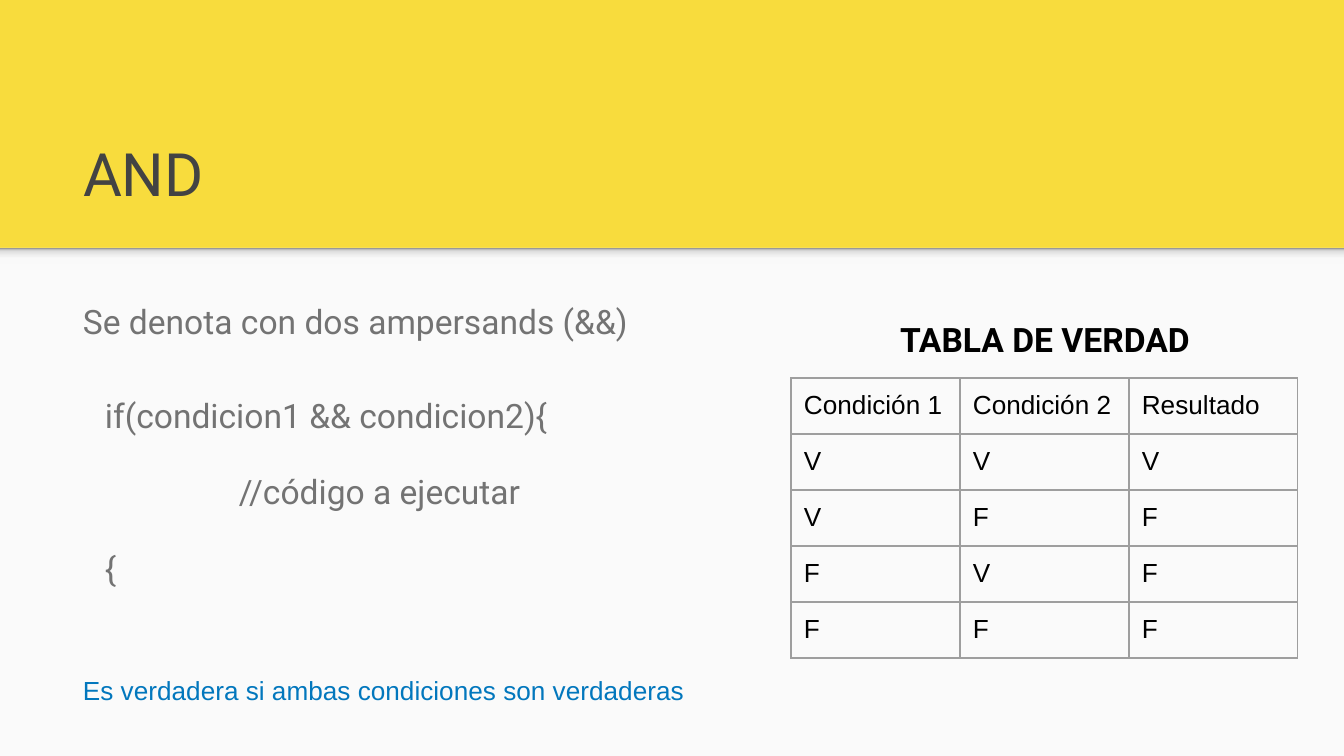
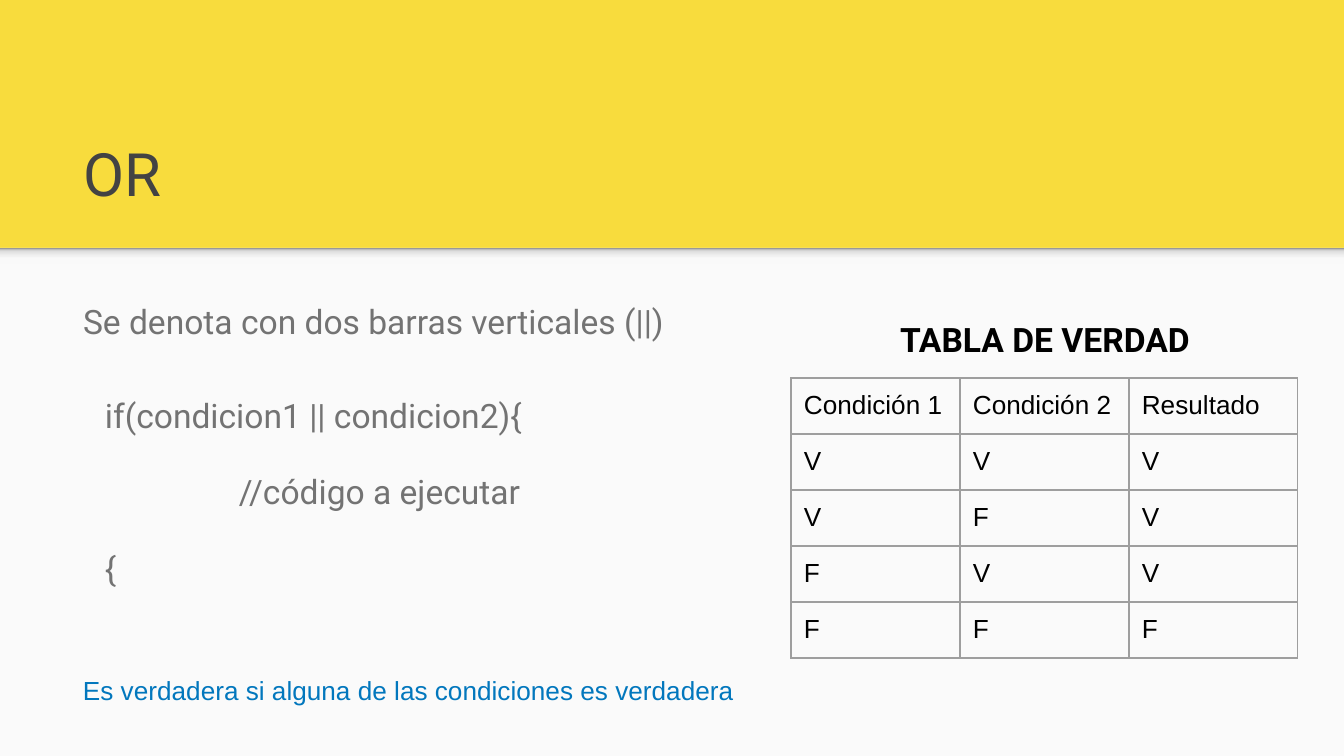
from lxml import etree
from pptx import Presentation
from pptx.dml.color import RGBColor
from pptx.enum.shapes import MSO_SHAPE
from pptx.enum.text import MSO_ANCHOR, MSO_AUTO_SIZE, PP_ALIGN
from pptx.oxml import parse_xml
from pptx.oxml.ns import qn
from pptx.util import Emu, Pt

RECT = MSO_SHAPE.RECTANGLE
TOP, MIDDLE, BOTTOM = MSO_ANCHOR.TOP, MSO_ANCHOR.MIDDLE, MSO_ANCHOR.BOTTOM
LEFT, CENTER = PP_ALIGN.LEFT, PP_ALIGN.CENTER
NO_FIT = MSO_AUTO_SIZE.NONE

EMU_PER_PX = 914400 / 134.4
WIDTH, HEIGHT = 1344, 756
BAND_BOTTOM = 248
MARGIN_X = 70
INSET = 13
CODE_INDENT = 134
COL_W, ROW_H = 169, 56
HEADING, BODY = "Roboto", "Arial"
COLORS = {
    "band": "F8DC3D", "panel": "FAFAFA", "title": "434343", "text": "737373",
    "black": "000000", "note": "0277BD", "border": "9E9E9E",
}
SHADOW_STOPS = [(0, "F9F9F9"), (36, "F9F9F9"), (80, "DEDEDE"), (100, "999999")]
TABLE_HEADER = ["Condición 1", "Condición 2", "Resultado"]
INPUTS = ["VV", "VF", "FV", "FF"]

SLIDES = [
    {"title": "AND", "symbol": "&&",
     "intro": "Se denota con dos ampersands (&&)", "intro_w": 583,
     "results": "VFFF",
     "note": "Es verdadera si ambas condiciones son verdaderas", "note_w": 628},
    {"title": "OR", "symbol": "||",
     "intro": "Se denota con dos barras verticales (||)", "intro_w": 617,
     "results": "VVVF",
     "note": "Es verdadera si alguna de las condiciones es verdadera", "note_w": 692},
]


def px(n):
    return Emu(round(n * EMU_PER_PX))


def rgb(name):
    return RGBColor.from_string(COLORS[name])


def add_run(p, text, size, font, color, bold=False):
    r = p.add_run()
    r.text = text
    r.font.size = Pt(size)
    r.font.name = font
    r.font.bold = bold
    r.font.color.rgb = rgb(color)


def set_frame(tf, anchor):
    tf.word_wrap = True
    tf.auto_size = NO_FIT
    tf.vertical_anchor = anchor
    tf.margin_left = tf.margin_right = tf.margin_top = tf.margin_bottom = px(INSET)


def add_text(s, box, text, size, font, color, bold=False, align=LEFT,
             anchor=TOP, spacing=1.0):
    """Add a one-paragraph text box and return its text frame."""
    tf = s.shapes.add_textbox(*map(px, box)).text_frame
    set_frame(tf, anchor)
    p = tf.paragraphs[0]
    p.alignment = align
    p.line_spacing = spacing
    add_run(p, text, size, font, color, bold)
    return tf


def add_rect(s, x, y, w, h):
    sp = s.shapes.add_shape(RECT, px(x), px(y), px(w), px(h))
    sp.shadow.inherit = False
    sp.line.fill.background()
    return sp


def set_gradient(sp, stops, angle):
    """Fill a shape with a linear gradient; angle is clockwise in degrees."""
    sp.fill.gradient()
    grad = sp.fill._xPr.find(qn("a:gradFill"))
    gs_lst = grad.find(qn("a:gsLst"))
    for gs in list(gs_lst):
        gs_lst.remove(gs)
    for pos, color in stops:
        gs = etree.SubElement(gs_lst, qn("a:gs"), pos=str(pos * 1000))
        etree.SubElement(gs, qn("a:srgbClr"), val=color)
    grad.find(qn("a:lin")).set("ang", str(angle * 60000))


def add_panel(s):
    """Add the light content area and the shadow under the title band."""
    panel = add_rect(s, 0, BAND_BOTTOM, WIDTH, HEIGHT - BAND_BOTTOM)
    panel.fill.solid()
    panel.fill.fore_color.rgb = rgb("panel")
    shadow = add_rect(s, 0, BAND_BOTTOM, WIDTH, 16)
    set_gradient(shadow, SHADOW_STOPS, 270)


def set_title(s, text):
    title = s.shapes.title
    title.left, title.top, title.width, title.height = map(px, (MARGIN_X, 109, 1208, 113))
    tf = title.text_frame
    set_frame(tf, BOTTOM)
    p = tf.paragraphs[0]
    p.alignment = LEFT
    add_run(p, text, 32, HEADING, "title")


def add_code(s, symbol):
    style = (18, HEADING, "text")
    tf = add_text(s, (92, 376, 534, 270), f"if(condicion1 {symbol} condicion2){{",
                  *style, spacing=1.15)
    for text, indent in (("//código a ejecutar", CODE_INDENT), ("{", 0)):
        p = tf.add_paragraph()
        p.line_spacing = 1.15
        p.space_before = Pt(16)
        p._p.get_or_add_pPr().set("marL", str(px(indent)))
        add_run(p, text, *style)


def set_borders(cell):
    tc_pr = cell._tc.get_or_add_tcPr()
    for i, side in enumerate(("lnL", "lnR", "lnT", "lnB")):
        tc_pr.insert(i, parse_xml(
            f'<a:{side} xmlns:a="http://schemas.openxmlformats.org/drawingml/2006/main"'
            f' w="{Pt(0.75)}"><a:solidFill><a:srgbClr val="{COLORS["border"]}"/>'
            f'</a:solidFill></a:{side}>'))


def add_truth_table(s, results):
    rows = [TABLE_HEADER] + [[*pair, res] for pair, res in zip(INPUTS, results)]
    n_rows, n_cols = len(rows), len(TABLE_HEADER)
    table = s.shapes.add_table(n_rows, n_cols, px(791), px(378),
                               px(COL_W * n_cols), px(ROW_H * n_rows)).table
    table.first_row = table.horz_banding = False
    for col in table.columns:
        col.width = px(COL_W)
    for row, values in zip(table.rows, rows):
        row.height = px(ROW_H)
        for cell, text in zip(row.cells, values):
            cell.margin_left = cell.margin_right = px(INSET)
            cell.margin_top = cell.margin_bottom = px(INSET)
            cell.fill.background()
            set_borders(cell)
            add_run(cell.text_frame.paragraphs[0], text, 14, BODY, "black")


def add_operator_slide(prs, op):
    s = prs.slides.add_slide(prs.slide_layouts[5])
    add_panel(s)
    set_title(s, op["title"])
    add_text(s, (MARGIN_X, 282, op["intro_w"], 95), op["intro"],
             18, HEADING, "text", spacing=1.15)
    add_code(s, op["symbol"])
    add_text(s, (791, 300, 508, 78), "TABLA DE VERDAD", 18, HEADING, "black",
             bold=True, align=CENTER, anchor=MIDDLE)
    add_truth_table(s, op["results"])
    add_text(s, (MARGIN_X, 661, op["note_w"], 78), op["note"], 14, BODY, "note")


def main():
    prs = Presentation()
    prs.slide_width, prs.slide_height = px(WIDTH), px(HEIGHT)
    fill = prs.slide_master.background.fill
    fill.solid()
    fill.fore_color.rgb = rgb("band")
    for op in SLIDES:
        add_operator_slide(prs, op)
    prs.save("out.pptx")


if __name__ == "__main__":
    main()
